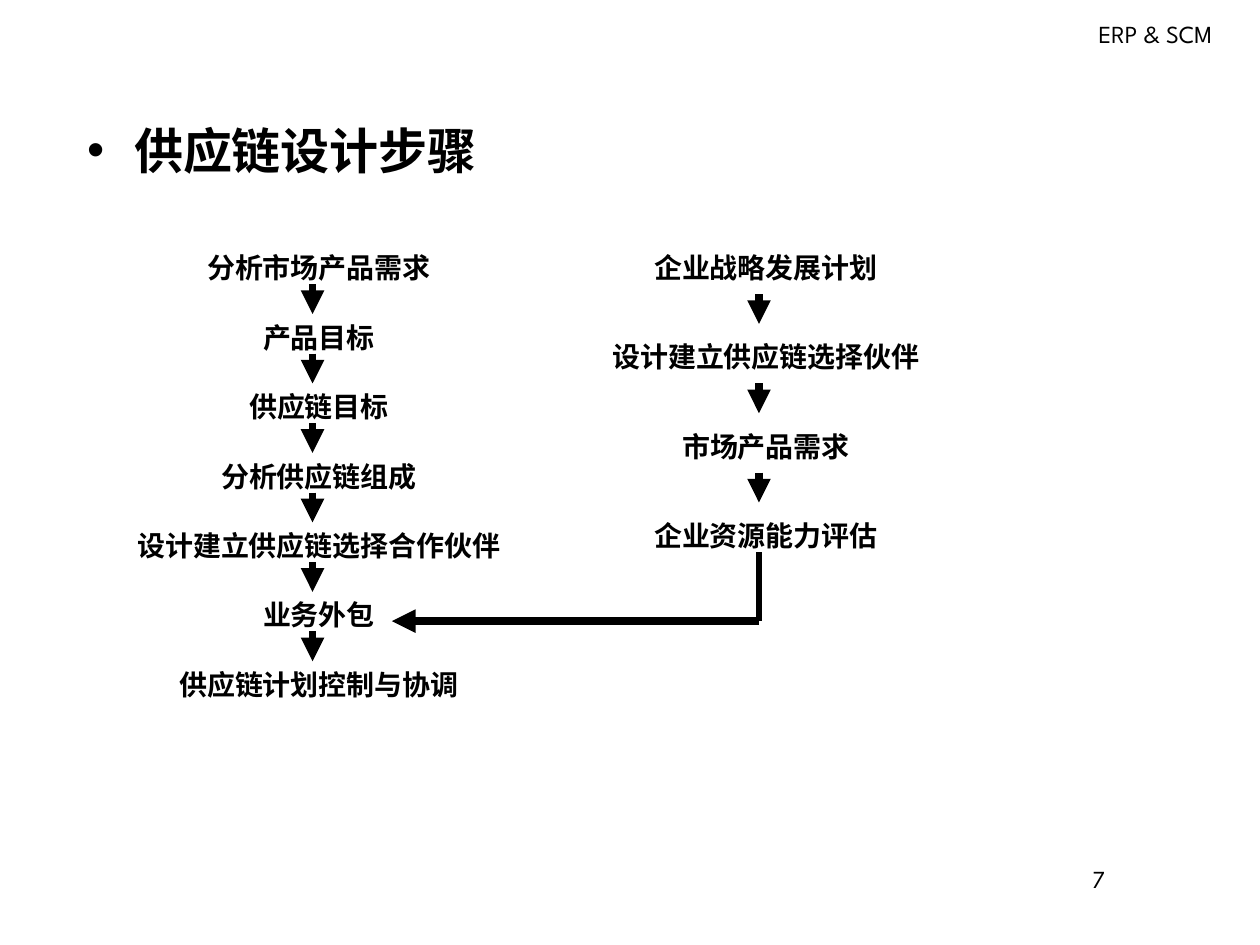
from lxml.etree import SubElement
from pptx import Presentation
from pptx.dml.color import RGBColor
from pptx.enum.shapes import MSO_CONNECTOR
from pptx.enum.text import MSO_ANCHOR, MSO_AUTO_SIZE, PP_ALIGN
from pptx.oxml.ns import qn
from pptx.util import Cm, Pt


def color(hex_text):
    """Turn a hex string into a colour."""
    return RGBColor.from_string(hex_text)


class Flowchart:
    """Draw the parts of a flow chart in one style on one slide."""

    ink = "000000"
    heading_font = "League Spartan"
    step_font = "Times New Roman"
    step_size = 16
    step_height = 0.94
    arrow_length = 0.6

    def __init__(self, slide):
        """Keep the slide that is drawn on."""
        self.slide = slide

    def style(self, paragraph, font, size, bold=False, align=PP_ALIGN.LEFT):
        """Format a whole paragraph."""
        paragraph.alignment = align
        paragraph.font.name = font
        paragraph.font.size = Pt(size)
        paragraph.font.bold = bold
        paragraph.font.color.rgb = color(self.ink)

    def title(self, wording, left, top, width, height):
        """Place the bulleted title in its placeholder."""
        heading = self.slide.shapes.title
        heading.left, heading.top = Cm(left), Cm(top)
        heading.width, heading.height = Cm(width), Cm(height)
        frame = heading.text_frame
        frame.text = wording
        frame.vertical_anchor = MSO_ANCHOR.TOP
        frame.auto_size = MSO_AUTO_SIZE.NONE
        paragraph = frame.paragraphs[0]
        properties = paragraph._p.get_or_add_pPr()
        properties.set("marL", str(Cm(0.95)))
        properties.set("indent", str(-Cm(0.95)))
        SubElement(properties, qn("a:buFont"), typeface="Arial")
        SubElement(properties, qn("a:buChar"), char="•")
        self.style(paragraph, self.heading_font, 28, bold=True)

    def label(self, wording, left, top, width, height, font, size, **look):
        """Add a single line of text."""
        box = self.slide.shapes.add_textbox(Cm(left), Cm(top), Cm(width), Cm(height))
        frame = box.text_frame
        frame.word_wrap = False
        frame.text = wording
        self.style(frame.paragraphs[0], font, size, **look)

    def line(self, start, end, weight=4.5, arrow=True):
        """Add a straight line, with an arrowhead at its end if wanted."""
        connector = self.slide.shapes.add_connector(
            MSO_CONNECTOR.STRAIGHT, *map(Cm, start + end))
        connector.line.color.rgb = color(self.ink)
        connector.line.width = Pt(weight)
        if arrow:
            SubElement(connector.line._get_or_add_ln(), qn("a:tailEnd"), type="triangle")
        SubElement(connector._element.spPr, qn("a:effectLst"))

    def column(self, steps, center, arrow_x, top, pitch, arrow_offset):
        """Stack steps at an even pitch with an arrow after each but the last."""
        for index, step in enumerate(steps):
            step_top = top + index * pitch
            width = 0.5 + len(step) * Pt(self.step_size).cm
            self.label(step, center - width / 2, step_top, width, self.step_height,
                       self.step_font, self.step_size, bold=True, align=PP_ALIGN.CENTER)
            if index < len(steps) - 1:
                arrow_top = step_top + arrow_offset
                self.line((arrow_x, arrow_top), (arrow_x, arrow_top + self.arrow_length))


def main():
    """Build the slide and save it."""
    deck = Presentation()
    deck.slide_width, deck.slide_height = Cm(25.4), Cm(19.05)
    chart = Flowchart(deck.slides.add_slide(deck.slide_layouts[5]))

    chart.title("供应链设计步骤", 1.5, 2.3, 21.6, 1.6)
    chart.label("ERP & SCM", 21.77, 0.25, 3.05, 0.86, chart.heading_font, 14,
                align=PP_ALIGN.CENTER)
    chart.label("7", 21.77, 17.3, 2.9, 0.99, chart.heading_font, 14)

    design_steps = ["分析市场产品需求", "产品目标", "供应链目标", "分析供应链组成",
                    "设计建立供应链选择合作伙伴", "业务外包", "供应链计划控制与协调"]
    strategy_steps = ["企业战略发展计划", "设计建立供应链选择伙伴",
                      "市场产品需求", "企业资源能力评估"]
    strategy_x = 15.3
    chart.column(design_steps, center=6.43, arrow_x=6.3, top=4.93, pitch=1.4,
                 arrow_offset=0.8)
    chart.column(strategy_steps, center=15.44, arrow_x=strategy_x, top=4.93, pitch=1.8,
                 arrow_offset=1)

    corner = (strategy_x, 12.52)
    chart.line((strategy_x, 11.13), corner, weight=3, arrow=False)
    chart.line(corner, (7.9, 12.52))

    deck.save("out.pptx")


if __name__ == "__main__":
    main()
